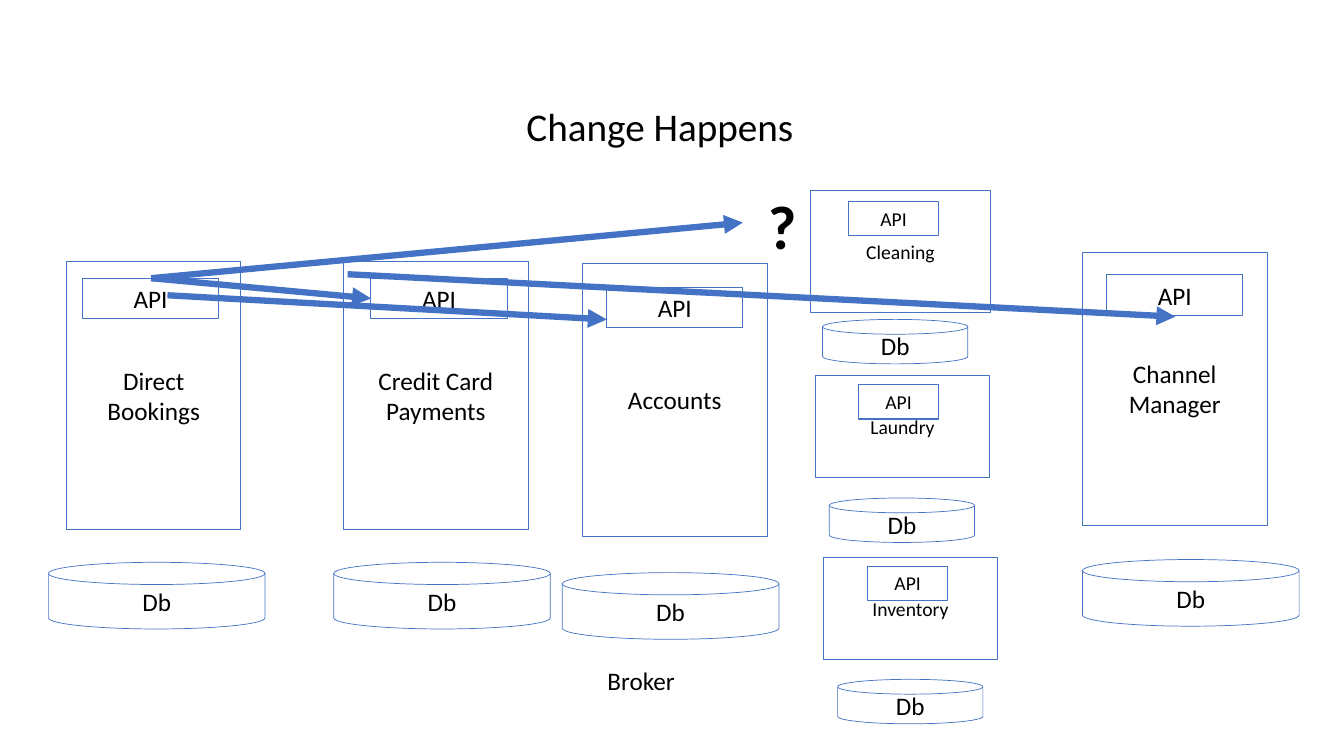
from pptx import Presentation
from pptx.dml.color import RGBColor
from pptx.enum.shapes import MSO_CONNECTOR, MSO_SHAPE
from pptx.enum.text import MSO_ANCHOR, MSO_AUTO_SIZE, PP_ALIGN
from pptx.oxml.ns import qn
from pptx.util import Cm, Pt
from lxml import etree

RECT = MSO_SHAPE.RECTANGLE
DISK = MSO_SHAPE.FLOWCHART_MAGNETIC_DISK
LINE = MSO_CONNECTOR.STRAIGHT
MID, TOP = MSO_ANCHOR.MIDDLE, MSO_ANCHOR.TOP
GROW, FIXED = MSO_AUTO_SIZE.SHAPE_TO_FIT_TEXT, MSO_AUTO_SIZE.NONE
LEFT, CENTER = PP_ALIGN.LEFT, PP_ALIGN.CENTER
BLUE, BLACK = "4472C4", "000000"

LABEL = {"vertical_anchor": MID, "auto_size": FIXED, "word_wrap": True}
FIT = {"vertical_anchor": TOP, "auto_size": GROW, "word_wrap": True}
LOOSE = FIT | {"word_wrap": False}


def paint(form, tone):
    form.rgb = RGBColor.from_string(tone)


def write(shape, text, size, frame, align=CENTER, bold=False):
    body = shape.text_frame
    body.text = text
    for key, value in frame.items():
        setattr(body, key, value)
    look = {"name": "Calibri", "size": Pt(size), "bold": bold}
    for para in body.paragraphs:
        para.alignment = align
        for key, value in look.items():
            setattr(para.font, key, value)
        paint(para.font.color, BLACK)


deck = Presentation()
deck.slide_width, deck.slide_height = Cm(33.87), Cm(19.05)
slide = deck.slides.add_slide(deck.slide_layouts[5])
shapes = slide.shapes

title = shapes.title
place = {"left": 7.42, "top": 2.44, "width": 18.42, "height": 1.45}
for key, value in place.items():
    setattr(title, key, Cm(value))
write(title, "Change Happens", 28, FIT)

large = {"size": 18, "api": (3.43, 1.02), "disk": (5.46, 1.68)}
small = {"size": 14, "api": (2.01, 0.86), "disk": (3.66, 1.12)}
wide = small | {"api": (2.26, 0.86)}

units = [
    ("Direct\nBookings", large, (1.68, 6.58, 4.39, 6.76), (2.08, 7.01), (1.22, 14.17)),
    ("Credit Card\nPayments", large, (8.66, 6.58, 4.65, 6.76), (9.35, 7.01), (8.41, 14.17)),
    ("Accounts", large, (14.68, 6.63, 4.65, 6.88), (15.29, 7.24), (14.17, 14.43)),
    ("Cleaning", wide, (20.42, 4.8, 4.55, 3.07), (21.39, 5.08), (20.73, 8.05)),
    ("Laundry", small, (20.55, 9.47, 4.39, 2.57), (21.64, 9.7), (20.9, 12.55)),
    ("Inventory", small, (20.75, 14.05, 4.39, 2.57), (21.87, 14.27), (21.11, 17.12)),
    ("Channel Manager", large, (27.28, 6.35, 4.65, 6.88), (27.89, 6.93), (27.28, 14.1)),
]
for name, kind, box, api, disk in units:
    parts = [
        (RECT, box, name, kind["size"], LABEL, 0.5),
        (RECT, api + kind["api"], "API", kind["size"], FIT, 0.75),
        (DISK, disk + kind["disk"], "Db", 18, LABEL, 0.5),
    ]
    for form, spot, text, size, frame, width in parts:
        shape = shapes.add_shape(form, *map(Cm, spot))
        shape.shadow.inherit = False
        shape.fill.background()
        paint(shape.line.color, BLUE)
        shape.line.width = Pt(width)
        write(shape, text, size, frame)

notes = [
    ("?", (19.1, 4.6, 1.02, 2.13), 44, FIT, True),
    ("Broker", (15.06, 16.64, 2.24, 1.02), 18, LOOSE, False),
]
for text, spot, size, frame, bold in notes:
    write(shapes.add_textbox(*map(Cm, spot)), text, size, frame, LEFT, bold)

calls = [
    (3.81, 7.01, 9.35, 7.52),
    (3.81, 7.01, 18.72, 5.61),
    (8.76, 6.91, 29.62, 7.98),
    (4.22, 7.44, 15.29, 8.05),
]
for ends in calls:
    arrow = shapes.add_connector(LINE, *map(Cm, ends))
    paint(arrow.line.color, BLUE)
    arrow.line.width = Pt(4.5)
    props = arrow.line._get_or_add_ln()
    etree.SubElement(props, qn("a:tailEnd"), type="triangle")
    etree.SubElement(arrow._element.spPr, qn("a:effectLst"))

deck.save("out.pptx")
